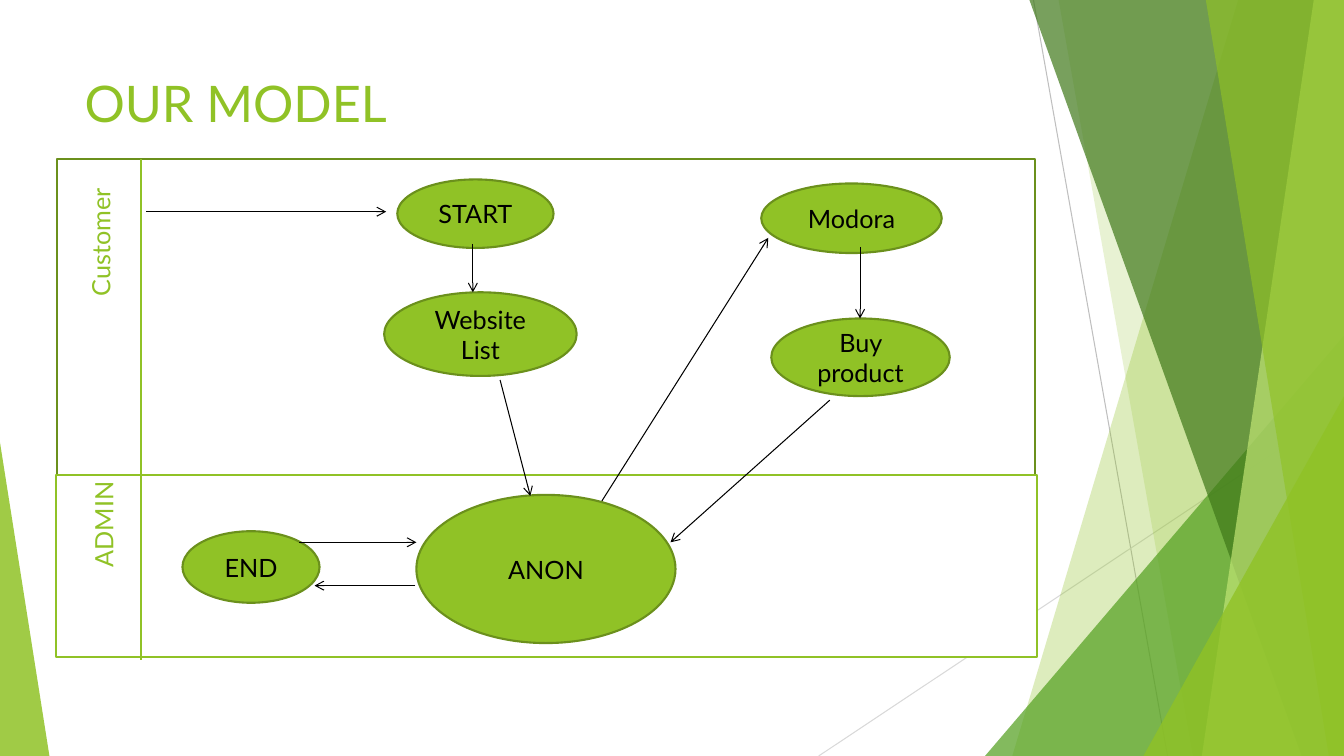
"""Build the OUR MODEL swimlane slide."""
from lxml.etree import SubElement
from pptx import Presentation
from pptx.dml.color import RGBColor
from pptx.enum.shapes import MSO_CONNECTOR, MSO_SHAPE
from pptx.enum.text import MSO_ANCHOR, PP_ALIGN
from pptx.oxml.ns import qn
from pptx.util import Inches, Pt

COLOURS = {
    "lime": "90C226", "olive": "6B901C", "green": "54A021", "forest": "3F7819",
    "pale": "C0E474", "white": "FFFFFF", "black": "000000",
    "grey": "BFBFBF", "silver": "D9D9D9",
}


class Painter:
    """Draw styled elements on one slide."""

    font = "Lato"

    def __init__(self, page):
        self.page = page

    def colour(self, name):
        return RGBColor.from_string(COLOURS[name])

    def paint(self, shape, fill, opacity=100, outline=None):
        shape.shadow.inherit = False
        shape.fill.solid()
        shape.fill.fore_color.rgb = self.colour(fill)
        if opacity < 100:
            tint = shape._element.spPr.find(qn("a:solidFill"))[0]
            SubElement(tint, qn("a:alpha"), val=str(opacity * 1000))
        if outline:
            shape.line.color.rgb = self.colour(outline)
            shape.line.width = Pt(1.5)
        else:
            shape.line.fill.background()

    def set_text(self, shape, text, size, colour, align=PP_ALIGN.LEFT):
        frame = shape.text_frame
        frame.word_wrap = True
        paragraph = frame.paragraphs[0]
        paragraph.text = text
        paragraph.alignment = align
        paragraph.font.name = self.font
        paragraph.font.size = Pt(size)
        paragraph.font.color.rgb = self.colour(colour)

    def preset(self, kind, box, fill, opacity=100, outline=None):
        shape = self.page.shapes.add_shape(kind, *map(Inches, box))
        self.paint(shape, fill, opacity, outline)
        return shape

    def triangle(self, box, apex, fill, opacity):
        shape = self.preset(MSO_SHAPE.ISOSCELES_TRIANGLE, box, fill, opacity)
        shape.adjustments[0] = apex

    def band(self, top_left, top_right, bottom_left, bottom_right, fill, opacity):
        builder = self.page.shapes.build_freeform(Inches(top_left), 0)
        corners = [(top_right, 0), (bottom_right, 7.5), (bottom_left, 7.5)]
        builder.add_line_segments([(Inches(x), Inches(y)) for x, y in corners])
        self.paint(builder.convert_to_shape(), fill, opacity)

    def lane(self, box, outline):
        self.preset(MSO_SHAPE.RECTANGLE, box, "white", outline=outline)

    def node(self, box, text):
        shape = self.preset(MSO_SHAPE.OVAL, box, "lime", outline="olive")
        shape.text_frame.vertical_anchor = MSO_ANCHOR.MIDDLE
        self.set_text(shape, text, 18, "black", PP_ALIGN.CENTER)

    def label(self, box, text, size, rotation=0):
        shape = self.page.shapes.add_textbox(*map(Inches, box))
        shape.rotation = rotation
        self.set_text(shape, text, size, "lime")

    def line(self, start, end, colour, width=0.75, arrow=False):
        connector = self.page.shapes.add_connector(
            MSO_CONNECTOR.STRAIGHT, *map(Inches, start + end))
        connector.line.color.rgb = self.colour(colour)
        connector.line.width = Pt(width)
        properties = connector._element.spPr
        if arrow:
            SubElement(properties.find(qn("a:ln")), qn("a:tailEnd"), type="arrow")
        SubElement(properties, qn("a:effectLst"))


def draw_backdrop(painter):
    painter.line((10.25, 0), (11.58, 7.5), "grey")
    painter.line((13.33, 4.03), (8.12, 7.5), "silver")
    painter.band(12.28, 13.33, 10.04, 13.33, "lime", 30)
    painter.band(10.5, 13.33, 11.83, 13.33, "lime", 20)
    painter.triangle((9.77, 3.33, 3.56, 4.17), 1, "green", 72)
    painter.band(10.21, 13.33, 12.91, 13.33, "forest", 70)
    painter.band(13.03, 13.33, 11.92, 13.33, "pale", 70)
    painter.band(11.96, 13.33, 13.18, 13.33, "lime", 65)
    painter.triangle((11.34, 3.93, 1.99, 3.57), 1, "lime", 80)
    painter.triangle((0, 4.39, 0.49, 3.11), 0, "lime", 85)


def draw_model(painter):
    painter.label((0.74, 0.67, 9.4, 1.44), "OUR MODEL", 36)
    painter.lane((0.57, 1.58, 9.7, 4.94), "olive")
    painter.label((0.01, 1.85, 1.97, 0.4), "Customer", 18, 270)
    painter.lane((0.56, 4.71, 9.73, 1.81), "lime")
    painter.label((0.04, 4.54, 1.97, 0.4), "ADMIN", 18, 270)
    painter.line((1.4, 1.58), (1.4, 6.55), "lime", 1)

    nodes = {
        "START": (3.94, 1.78, 1.55, 0.68),
        "Website List": (3.81, 2.9, 1.91, 0.83),
        "END": (1.81, 5.27, 1.36, 0.71),
        "Modora": (7.55, 1.82, 1.79, 0.69),
        "Buy product": (7.65, 3.16, 1.77, 0.77),
        "ANON": (4.13, 4.91, 2.57, 1.47),
    }
    for text, box in nodes.items():
        painter.node(box, text)

    arrows = [
        ((1.45, 2.1), (3.83, 2.1)),
        ((4.69, 2.42), (4.69, 2.9)),
        ((4.96, 3.77), (5.26, 4.92)),
        ((5.97, 4.97), (7.62, 2.36)),
        ((8.53, 2.45), (8.53, 3.16)),
        ((8.23, 3.97), (6.65, 5.38)),
        ((2.97, 5.38), (4.13, 5.38)),
        ((4.12, 5.81), (3.12, 5.81)),
    ]
    for start, end in arrows:
        painter.line(start, end, "black", arrow=True)


def main():
    deck = Presentation()
    deck.slide_width, deck.slide_height = Inches(13.33), Inches(7.5)
    painter = Painter(deck.slides.add_slide(deck.slide_layouts[6]))
    draw_backdrop(painter)
    draw_model(painter)
    deck.save("out.pptx")


if __name__ == "__main__":
    main()
